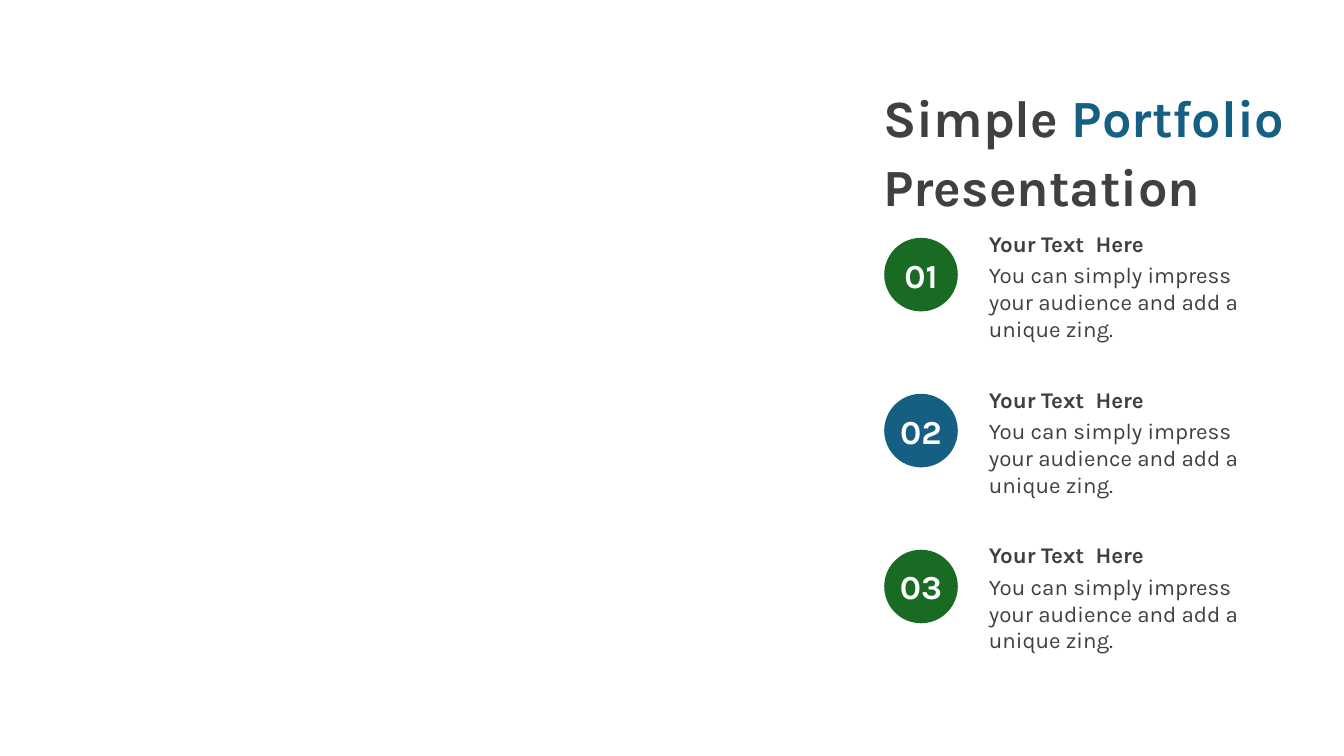
from pptx import Presentation
from pptx.dml.color import RGBColor
from pptx.enum.shapes import MSO_SHAPE
from pptx.enum.text import MSO_ANCHOR, MSO_AUTO_SIZE, PP_ALIGN
from pptx.util import Inches, Pt

OVAL = MSO_SHAPE.OVAL
TOP, MIDDLE = MSO_ANCHOR.TOP, MSO_ANCHOR.MIDDLE
GROW, FIXED = MSO_AUTO_SIZE.SHAPE_TO_FIT_TEXT, MSO_AUTO_SIZE.NONE
LEFT, CENTER = PP_ALIGN.LEFT, PP_ALIGN.CENTER

COLORS = {"green": "196B24", "blue": "156082", "ink": "404040", "white": "FFFFFF"}
FONT = "Karla"

TITLE = [("Simple ", "ink"), ("Portfolio ", "blue"), ("Presentation", "ink")]
HEADING = "Your Text  Here"
DETAIL = "You can simply impress your audience and add a unique zing."
STEPS = [
    ("01", "green", HEADING, DETAIL),
    ("02", "blue", HEADING, DETAIL),
    ("03", "green", HEADING, DETAIL),
]

# Lengths in inches
SLIDE_WIDTH, SLIDE_HEIGHT = 13.33, 7.5
TITLE_BOX = (8.66, 0.81, 4.3, 1.32)
BADGE_LEFT, BADGE_SIZE = 8.77, 0.73
NUMBER_HEIGHT = 0.5
COPY_LEFT, COPY_WIDTH = 9.71, 2.83
HEADING_HEIGHT, DETAIL_HEIGHT = 0.37, 0.91
FIRST_STEP, STEP_PITCH = 2.36, 1.547
HEADING_OFFSET, DETAIL_OFFSET = -0.13, 0.18


def rgb(color):
    return RGBColor.from_string(COLORS[color])


def add_text(slide, box, parts, size, bold=False, align=LEFT, anchor=TOP, fit=GROW):
    """Add one paragraph made of (text, color) parts and return it."""
    frame = slide.shapes.add_textbox(*map(Inches, box)).text_frame
    frame.word_wrap = True
    frame.auto_size = fit
    frame.vertical_anchor = anchor
    paragraph = frame.paragraphs[0]
    paragraph.alignment = align
    for text, color in parts:
        run = paragraph.add_run()
        run.text = text
        run.font.name = FONT
        run.font.size = Pt(size)
        run.font.bold = bold
        run.font.color.rgb = rgb(color)
    return paragraph


def add_badge(slide, top, color):
    badge = slide.shapes.add_shape(
        OVAL, *map(Inches, (BADGE_LEFT, top, BADGE_SIZE, BADGE_SIZE)))
    badge.shadow.inherit = False
    badge.fill.solid()
    badge.fill.fore_color.rgb = rgb(color)
    badge.line.fill.background()


def add_step(slide, top, number, color, heading, detail):
    add_badge(slide, top, color)
    add_text(slide, (COPY_LEFT, top + DETAIL_OFFSET, COPY_WIDTH, DETAIL_HEIGHT),
             [(detail, "ink")], 16)
    add_text(slide, (COPY_LEFT, top + HEADING_OFFSET, COPY_WIDTH, HEADING_HEIGHT),
             [(heading, "ink")], 16, bold=True)
    number_top = top + (BADGE_SIZE - NUMBER_HEIGHT) / 2
    add_text(slide, (BADGE_LEFT, number_top, BADGE_SIZE, NUMBER_HEIGHT),
             [(number, "white")], 24, bold=True, align=CENTER, anchor=MIDDLE)


def main():
    deck = Presentation()
    deck.slide_width, deck.slide_height = Inches(SLIDE_WIDTH), Inches(SLIDE_HEIGHT)
    slide = deck.slides.add_slide(deck.slide_layouts[6])
    for row, step in enumerate(STEPS):
        add_step(slide, FIRST_STEP + row * STEP_PITCH, *step)
    title = add_text(slide, TITLE_BOX, TITLE, 37.3, bold=True, anchor=MIDDLE, fit=FIXED)
    title.line_spacing = 1.1
    title.space_before = Pt(7.5)
    deck.save("out.pptx")


if __name__ == "__main__":
    main()
